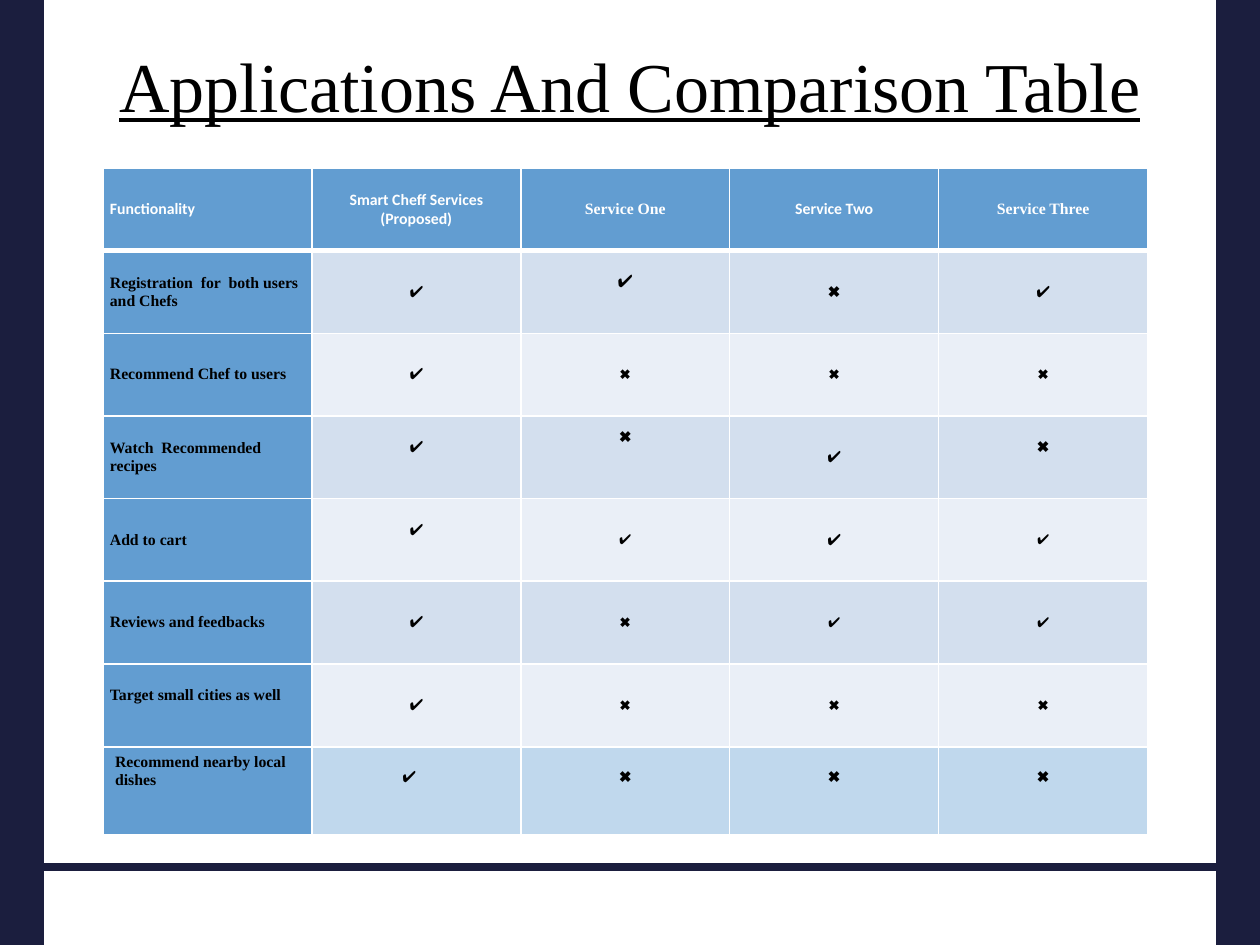
from dataclasses import dataclass

from lxml.etree import SubElement
from pptx import Presentation
from pptx.dml.color import RGBColor
from pptx.enum.shapes import MSO_CONNECTOR, MSO_SHAPE
from pptx.enum.text import MSO_ANCHOR, PP_ALIGN
from pptx.oxml import parse_xml
from pptx.oxml.ns import nsdecls, qn
from pptx.util import Pt


@dataclass(frozen=True)
class Theme:
    frame: str = "1B1E3E"
    header: str = "629DD1"
    odd_row: str = "D3DFEE"
    even_row: str = "EAEFF7"
    last_row: str = "C0D8ED"
    light: str = "FFFFFF"
    dark: str = "000000"
    serif: str = "Times New Roman"
    sans: str = "Calibri"
    title_size: int = 40
    label_size: int = 9


THEME = Theme()
YES, NO = "✔", "✖"
LEFT, TOP = 58.8, 96
COLUMN_WIDTH, ROW_HEIGHT, LAST_ROW_HEIGHT = 119.4, 47.25, 50
LIFT = 11.5

HEADERS = [
    ("Functionality", THEME.sans),
    ("Smart Cheff Services (Proposed)", THEME.sans),
    ("Service One", THEME.serif),
    ("Service Two", THEME.sans),
    ("Service Three", THEME.serif),
]
FEATURES = [
    ("Registration  for  both users and Chefs", (YES, YES, NO, YES), (9, 10, 9, 9)),
    ("Recommend Chef to users", (YES, NO, NO, NO), (9, 8, 8, 8)),
    ("Watch  Recommended recipes", (YES, NO, YES, NO), (9, 9, 9, 9)),
    ("Add to cart", (YES, YES, YES, YES), (9, 8, 9, 8)),
    ("Reviews and feedbacks", (YES, NO, YES, YES), (9, 8, 8, 8)),
    ("Target small cities as well", (YES, NO, NO, NO), (9, 8, 8, 8)),
]
LAST_FEATURE = ("Recommend nearby local dishes", (YES, NO, NO, NO))
LIFTS = {(1, 2): 1, (3, 1): 1, (3, 2): 2, (3, 4): 1, (4, 1): 1, (6, 0): 1}


def color(value):
    return RGBColor.from_string(value)


def format_text(text_frame, font_name, size, text_color, bold=False, underline=False,
                alignment=PP_ALIGN.CENTER):
    for paragraph in text_frame.paragraphs:
        paragraph.alignment = alignment
        for run in paragraph.runs:
            font = run.font
            font.name = font_name
            font.size = Pt(size)
            font.bold = bold
            font.underline = underline
            font.color.rgb = color(text_color)


def add_side_bar(slide, left):
    shape = slide.shapes.add_shape(MSO_SHAPE.RECTANGLE, Pt(left), 0, Pt(24), Pt(540))
    shape.shadow.inherit = False
    shape.fill.solid()
    shape.fill.fore_color.rgb = color(THEME.frame)
    shape.line.color.rgb = color(THEME.frame)
    shape.line.width = Pt(2)


def add_footer_line(slide):
    connector = slide.shapes.add_connector(
        MSO_CONNECTOR.STRAIGHT, Pt(24), Pt(495.5), Pt(696), Pt(495.5))
    connector.line.color.rgb = color(THEME.frame)
    connector.line.width = Pt(4.5)
    SubElement(connector._element.spPr, qn("a:effectLst"))


def add_title(slide, text):
    shape = slide.shapes.add_textbox(Pt(54), Pt(21), Pt(612), Pt(54))
    text_frame = shape.text_frame
    text_frame.word_wrap = True
    text_frame.vertical_anchor = MSO_ANCHOR.MIDDLE
    text_frame.text = text
    format_text(text_frame, THEME.serif, THEME.title_size, THEME.dark, underline=True)


def add_plain_table(slide, top, row_count, row_height):
    frame = slide.shapes.add_table(
        row_count, len(HEADERS), Pt(LEFT), Pt(top),
        Pt(COLUMN_WIDTH * len(HEADERS)), Pt(row_height * row_count))
    table = frame.table
    table.first_row = False
    table.horz_banding = False
    for column in table.columns:
        column.width = Pt(COLUMN_WIDTH)
    for row in table.rows:
        row.height = Pt(row_height)
    return table


def set_borders(cell, top_width=1, bottom_width=1):
    properties = cell._tc.get_or_add_tcPr()
    widths = {"lnL": 1, "lnR": 1, "lnT": top_width, "lnB": bottom_width}
    for index, (side, width) in enumerate(widths.items()):
        properties.insert(index, parse_xml(
            f'<a:{side} {nsdecls("a")} w="{Pt(width)}"><a:solidFill>'
            f'<a:srgbClr val="{THEME.light}"/></a:solidFill></a:{side}>'))


def fill_cell(cell, text, fill, margins, anchor=MSO_ANCHOR.MIDDLE, **text_format):
    cell.text_frame.text = text
    format_text(cell.text_frame, **text_format)
    cell.vertical_anchor = anchor
    cell.margin_left, cell.margin_top, cell.margin_right, cell.margin_bottom = map(Pt, margins)
    cell.fill.solid()
    cell.fill.fore_color.rgb = color(fill)


def label_format(text_color=THEME.dark, font_name=THEME.serif, alignment=PP_ALIGN.LEFT):
    return dict(font_name=font_name, size=THEME.label_size, text_color=text_color,
                bold=True, alignment=alignment)


def add_main_table(slide):
    table = add_plain_table(slide, TOP, len(FEATURES) + 1, ROW_HEIGHT)
    for column, (text, font_name) in enumerate(HEADERS):
        alignment = PP_ALIGN.CENTER if column else PP_ALIGN.LEFT
        cell = table.cell(0, column)
        fill_cell(cell, text, THEME.header, (4, 0, 4, 0),
                  **label_format(THEME.light, font_name, alignment))
        set_borders(cell, bottom_width=3)
    for row, (label, marks, sizes) in enumerate(FEATURES, 1):
        band = THEME.odd_row if row % 2 else THEME.even_row
        for column, text in enumerate((label, *marks)):
            cell = table.cell(row, column)
            margins = (4, 0, 4, LIFT * LIFTS.get((row, column), 0))
            if column:
                fill_cell(cell, text, band, margins, font_name=THEME.sans,
                          size=sizes[column - 1], text_color=THEME.dark)
            else:
                fill_cell(cell, text, THEME.header, margins, **label_format())
            set_borders(cell, top_width=3 if row == 1 else 1)


def add_last_row_table(slide):
    top = TOP + ROW_HEIGHT * (len(FEATURES) + 1)
    table = add_plain_table(slide, top, 1, LAST_ROW_HEIGHT)
    label, marks = LAST_FEATURE
    for column, text in enumerate((label, *marks)):
        cell = table.cell(0, column)
        if column:
            margins = (7, 12.5, 15 if column == 1 else 7, 4)
            fill_cell(cell, text, THEME.last_row, margins, MSO_ANCHOR.TOP,
                      **label_format(alignment=PP_ALIGN.CENTER))
        else:
            fill_cell(cell, text, THEME.header, (7, 4, 7, 4), MSO_ANCHOR.TOP,
                      **label_format())
        set_borders(cell)


def main():
    presentation = Presentation()
    presentation.slide_width = Pt(720)
    presentation.slide_height = Pt(540)
    slide = presentation.slides.add_slide(presentation.slide_layouts[6])
    for left in (696, 0):
        add_side_bar(slide, left)
    add_footer_line(slide)
    add_title(slide, "Applications And Comparison Table")
    add_main_table(slide)
    add_last_row_table(slide)
    presentation.save("out.pptx")


if __name__ == "__main__":
    main()
